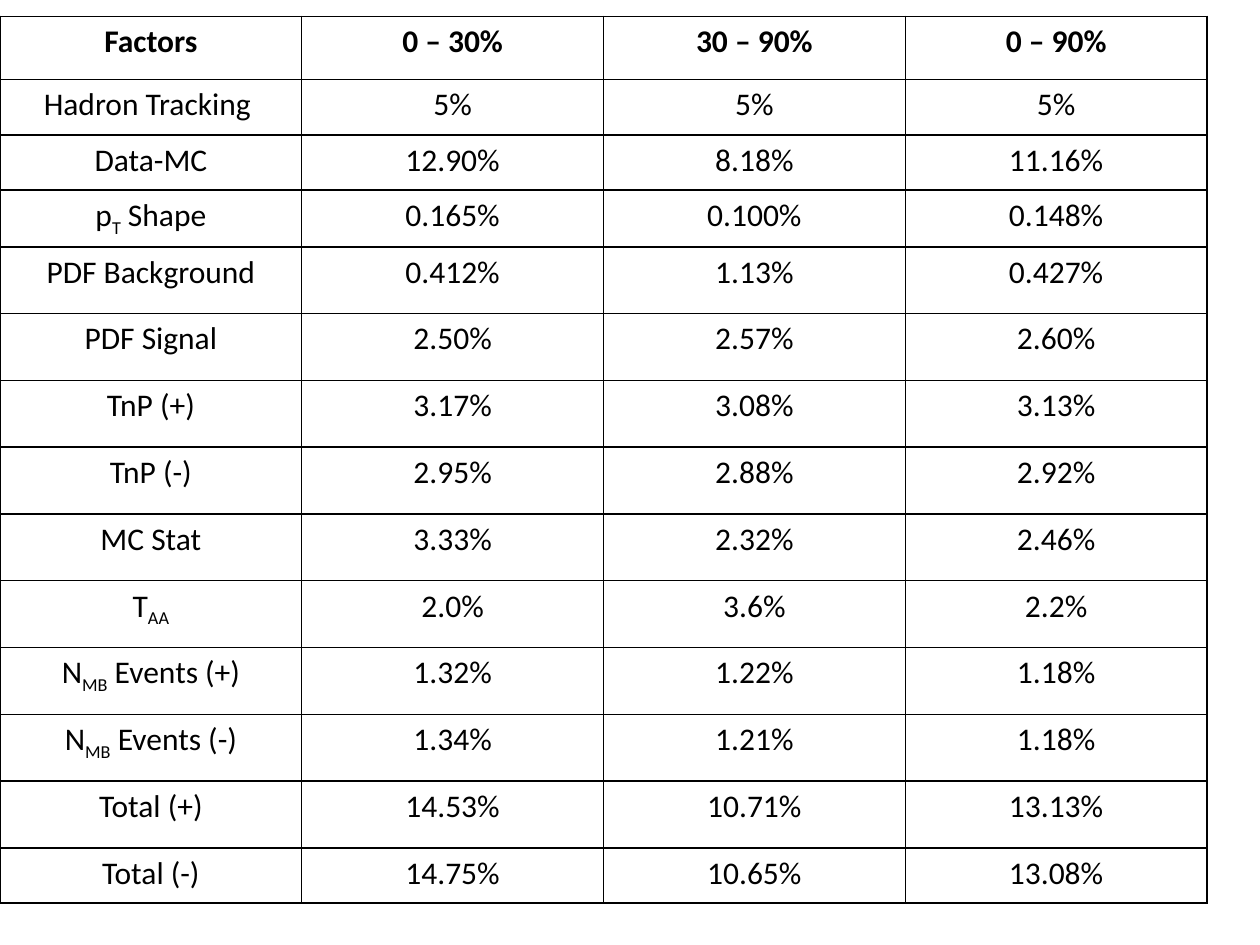
from dataclasses import dataclass

from lxml.etree import SubElement
from pptx import Presentation
from pptx.dml.color import RGBColor
from pptx.enum.text import PP_ALIGN
from pptx.oxml.ns import qn
from pptx.util import Inches, Pt


@dataclass(frozen=True)
class Theme:
    font: str = "Calibri"
    size: int = 18
    ink: str = "000000"
    border: int = 1
    subscript: str = "-25000"


theme = Theme()


def draw_borders(cell):
    properties = cell._tc.get_or_add_tcPr()
    for side in ("a:lnL", "a:lnR", "a:lnT", "a:lnB"):
        line = SubElement(properties, qn(side), w=str(Pt(theme.border)))
        ink = SubElement(line, qn("a:solidFill"))
        SubElement(ink, qn("a:srgbClr"), val=theme.ink)


def write_label(cell, label, bold):
    paragraph = cell.text_frame.paragraphs[0]
    paragraph.alignment = PP_ALIGN.CENTER
    for position, part in enumerate(label.split("_")):
        if not part:
            continue
        run = paragraph.add_run()
        run.text = part
        run.font.name = theme.font
        run.font.size = Pt(theme.size)
        run.font.bold = bold
        run.font.color.rgb = RGBColor.from_string(theme.ink)
        if position % 2:
            run.font._element.set("baseline", theme.subscript)


uncertainties = [
    ("Factors", "0 – 30%", "30 – 90%", "0 – 90%"),
    ("Hadron Tracking ", "5%", "5%", "5%"),
    ("Data-MC", "12.90%", "8.18%", "11.16%"),
    ("p_T_ Shape", "0.165%", "0.100%", "0.148%"),
    ("PDF Background", "0.412%", "1.13%", "0.427%"),
    ("PDF Signal", "2.50%", "2.57%", "2.60%"),
    ("TnP (+)", "3.17%", "3.08%", "3.13%"),
    ("TnP (-)", "2.95%", "2.88%", "2.92%"),
    ("MC Stat", "3.33%", "2.32%", "2.46%"),
    ("T_AA_", "2.0%", "3.6%", "2.2%"),
    ("N_MB_ Events (+)", "1.32%", "1.22%", "1.18%"),
    ("N_MB_ Events (-)", "1.34%", "1.21%", "1.18%"),
    ("Total (+)", "14.53%", "10.71%", "13.13%"),
    ("Total (-)", "14.75%", "10.65%", "13.08%"),
]
row_heights = [0.5, 0.44, 0.44, 0.45] + [0.53] * 9 + [0.44]

presentation = Presentation()
presentation.slide_width = Inches(10)
presentation.slide_height = Inches(7.5)
slide = presentation.slides.add_slide(presentation.slide_layouts[6])

factors = slide.shapes.add_table(
    len(uncertainties), len(uncertainties[0]),
    Inches(0), Inches(0.13), Inches(9.58), Inches(sum(row_heights)),
).table
factors.first_row = False
factors.horz_banding = False

for row, height in zip(factors.rows, row_heights):
    row.height = Inches(height)

for row_index, labels in enumerate(uncertainties):
    for column_index, label in enumerate(labels):
        cell = factors.cell(row_index, column_index)
        draw_borders(cell)
        cell.fill.background()
        write_label(cell, label, bold=row_index == 0)

presentation.save("out.pptx")
